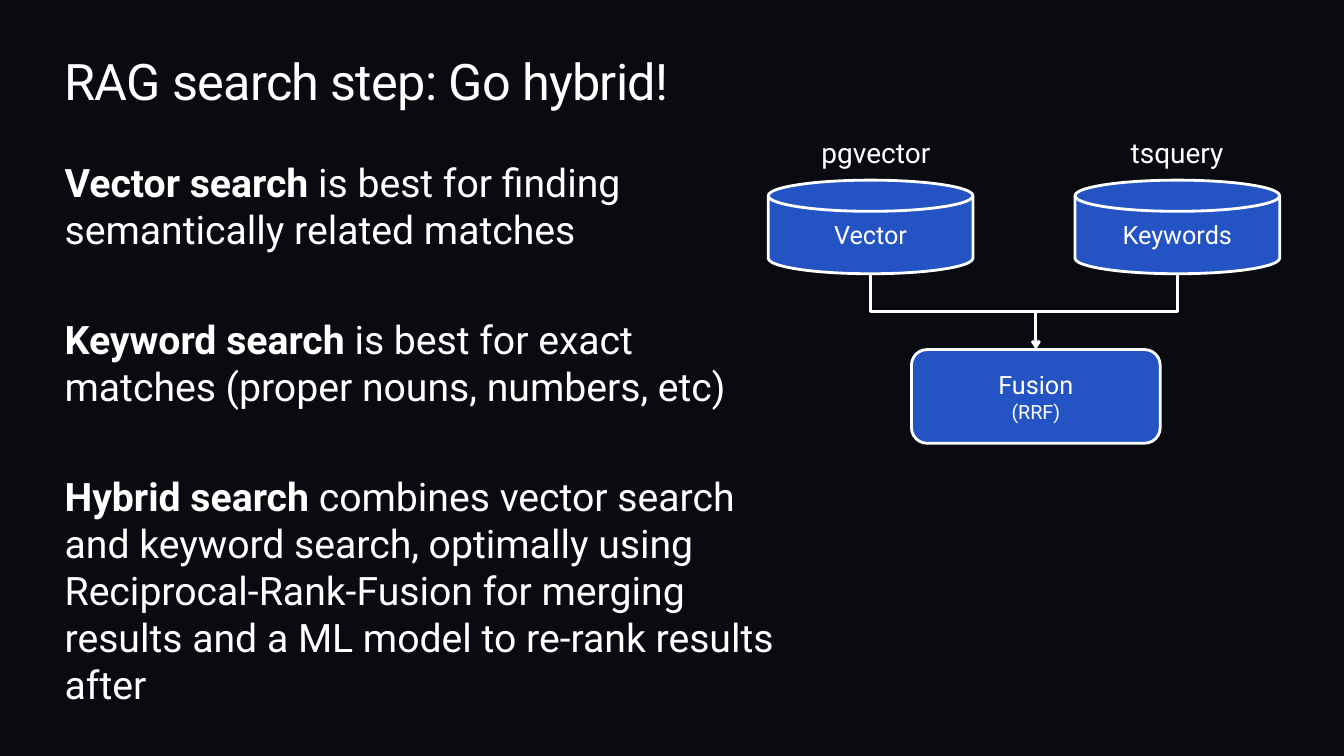
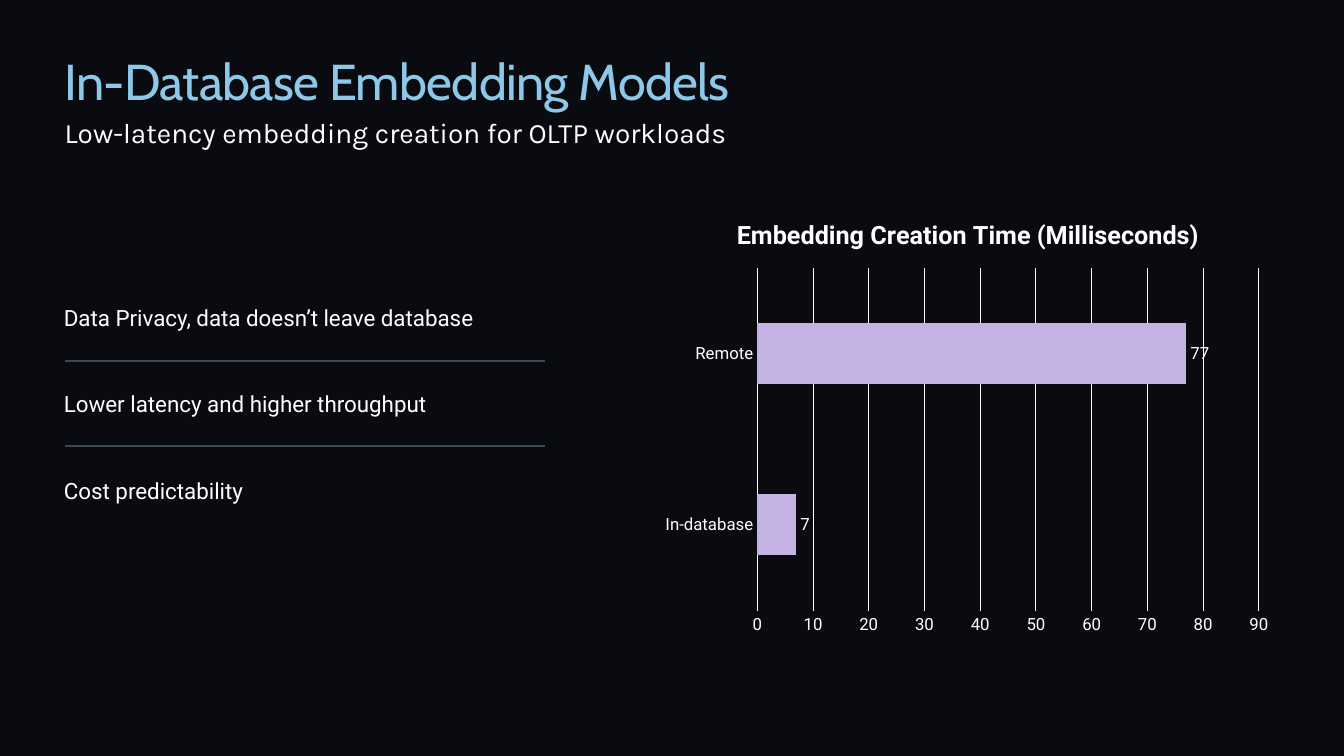
import pptx
import pptx.util
import pptx.chart.data
import pptx.dml.color
import pptx.enum.chart
import pptx.enum.shapes
import pptx.enum.text
import pptx.oxml
import pptx.oxml.ns
from dataclasses import dataclass

Cm, Pt = pptx.util.Cm, pptx.util.Pt
Shape = pptx.enum.shapes.MSO_SHAPE
Link = pptx.enum.shapes.MSO_CONNECTOR
Align = pptx.enum.text.PP_ALIGN
Anchor = pptx.enum.text.MSO_ANCHOR
qn = pptx.oxml.ns.qn


def rgb(code):
    return pptx.dml.color.RGBColor.from_string(code)


def node(tag, **attrs):
    item = pptx.oxml.parse_xml(f"<{tag} {pptx.oxml.ns.nsdecls(tag.split(':')[0])}/>")
    for key, val in attrs.items():
        item.set(key, val)
    return item


@dataclass(frozen=True)
class Theme:
    back: str = "0A0B10"
    ink: str = "FFFFFF"
    fill: str = "2454C3"
    sky: str = "8DC8E8"
    rule: str = "3A4953"
    bar: str = "C5B4E3"
    font: str = "Roboto"
    head: str = "Cabin"
    sub: str = "Karla"
    title: int = 36
    body: int = 28
    label: int = 20
    node: int = 18
    item: int = 16
    note: int = 14
    axis: int = 12
    left: float = 1.63


class Deck:
    def __init__(self, theme):
        self.theme = theme
        self.prs = pptx.Presentation()
        self.prs.slide_width, self.prs.slide_height = Cm(33.87), Cm(19.05)
        self.slide = None

    def style(self, font, size, color=None, name=None):
        font.size = Pt(size)
        font.name = name or self.theme.font
        font.color.rgb = rgb(color or self.theme.ink)

    def page(self, title, color=None, name=None):
        """Start a slide with its background and title."""
        self.slide = self.prs.slides.add_slide(self.prs.slide_layouts[6])
        fill = self.slide.background.fill
        fill.solid()
        fill.fore_color.rgb = rgb(self.theme.back)
        box = self.text((self.theme.left, 1.27, 30.6, 1.55), [title],
                        self.theme.title, color, name)
        for run in box.text_frame.paragraphs[0].runs:
            run.font._element.set("spc", "-50")

    def text(self, area, paras, size, color=None, name=None, align=Align.LEFT,
             gap=0, pitch=None):
        """Each paragraph is a string or a (bold lead, rest) pair."""
        box = self.slide.shapes.add_textbox(*map(Cm, area))
        frame = box.text_frame
        frame.word_wrap = True
        frame.margin_left = frame.margin_right = 0
        frame.margin_top = frame.margin_bottom = 0
        for i, parts in enumerate(paras):
            para = frame.add_paragraph() if i else frame.paragraphs[0]
            para.alignment = align
            if i and gap:
                para.space_before = Pt(gap)
            if pitch:
                para.line_spacing = pitch
            self.style(para.font, size, color, name)
            if isinstance(parts, str):
                para.add_run().text = parts
            else:
                lead, rest = parts
                run = para.add_run()
                run.text, run.font.bold = lead, True
                para.add_run().text = rest
        return box

    def block(self, kind, area, lines):
        """Filled shape; lines are (text, size) pairs."""
        shape = self.slide.shapes.add_shape(kind, *map(Cm, area))
        shape.shadow.inherit = False
        shape.fill.solid()
        shape.fill.fore_color.rgb = rgb(self.theme.fill)
        shape.line.color.rgb = rgb(self.theme.ink)
        shape.line.width = Pt(2)
        frame = shape.text_frame
        frame.word_wrap = True
        frame.vertical_anchor = Anchor.MIDDLE
        for i, (words, size) in enumerate(lines):
            para = frame.add_paragraph() if i else frame.paragraphs[0]
            para.text = words
            para.alignment = Align.CENTER
            self.style(para.font, size)

    def line(self, start, end, color=None, width=2, kind=Link.STRAIGHT):
        link = self.slide.shapes.add_connector(kind, *map(Cm, start + end))
        link.line.color.rgb = rgb(color or self.theme.ink)
        link.line.width = Pt(width)
        link._element.spPr.append(node("a:effectLst"))
        return link

    def elbow(self, start, end, preset, arrow=False):
        """Bent connector that leaves its start downwards."""
        (x1, y1), (x2, y2) = start, end
        midx, midy = (x1 + x2) / 2, (y1 + y2) / 2
        halfw, halfh = (y2 - y1) / 2, abs(x2 - x1) / 2
        link = self.line((midx - halfw, midy - halfh),
                         (midx + halfw, midy + halfh), kind=Link.ELBOW)
        props = link._element.spPr
        props.find(qn("a:prstGeom")).set("prst", preset)
        frame = props.find(qn("a:xfrm"))
        right = x2 > x1
        frame.set("rot", str((270 if right else 90) * 60000))
        if right:
            frame.set("flipH", "1")
        if arrow:
            props.find(qn("a:ln")).append(node("a:tailEnd", type="arrow"))

    def place(self, parent, index, **sizes):
        """Give a chart part a fixed place, in fractions of the chart."""
        old = parent.find(qn("c:layout"))
        if old is not None:
            parent.remove(old)
        layout, manual = node("c:layout"), node("c:manualLayout")
        if "w" in sizes:
            manual.append(node("c:layoutTarget", val="inner"))
        for key in "xy":
            manual.append(node(f"c:{key}Mode", val="edge"))
        for key, val in sizes.items():
            manual.append(node(f"c:{key}", val=str(val)))
        layout.append(manual)
        parent.insert(index, layout)

    def bars(self, area, title, cats, vals):
        theme, enum = self.theme, pptx.enum.chart
        data = pptx.chart.data.CategoryChartData()
        data.categories = cats
        data.add_series("Series 1", vals)
        chart = self.slide.shapes.add_chart(
            enum.XL_CHART_TYPE.BAR_CLUSTERED, *map(Cm, area), data).chart
        chart.has_legend = False
        self.style(chart.font, theme.axis)

        # Title
        head = chart.chart_title
        para = head.text_frame.paragraphs[0]
        para.text = title
        self.style(para.font, theme.node)
        para.font.bold = True
        self.place(head._element, 1, x=0.13, y=0.03)

        # Bars and labels
        plot = chart.plots[0]
        plot.gap_width = 182
        plot.vary_by_categories = False
        fill = plot.series[0].format.fill
        fill.solid()
        fill.fore_color.rgb = rgb(theme.bar)
        plot.has_data_labels = True
        labels = plot.data_labels
        labels.show_value = True
        labels.position = enum.XL_LABEL_POSITION.OUTSIDE_END
        self.style(labels.font, theme.axis)

        # Axes
        for axis in (chart.category_axis, chart.value_axis):
            axis.major_tick_mark = enum.XL_TICK_MARK.NONE
            axis.minor_tick_mark = enum.XL_TICK_MARK.NONE
            self.style(axis.tick_labels.font, theme.axis)
        scale = chart.value_axis
        scale.minimum_scale, scale.maximum_scale, scale.major_unit = 0, 90, 10
        scale.format.line.fill.background()
        scale.has_major_gridlines = True
        for part in (chart.category_axis, scale.major_gridlines):
            part.format.line.color.rgb = rgb(theme.ink)
            part.format.line.width = Pt(0.75)
        area_xml = chart._chartSpace.find(f".//{qn('c:plotArea')}")
        self.place(area_xml, 0, x=0.17, y=0.15, w=0.8, h=0.77)


def hybrid(deck):
    theme = deck.theme
    deck.page("RAG search step: Go hybrid!")
    deck.text((theme.left, 3.99, 18.21, 11.96), [
        ("Vector search ", "is best for finding semantically related matches"),
        ("Keyword search ", "is best for exact matches (proper nouns, numbers, etc)"),
        ("Hybrid search ", "combines vector search and keyword search, optimally "
         "using Reciprocal-Rank-Fusion for merging results and a ML model to "
         "re-rank results after"),
    ], theme.body, gap=44.8)

    # Two stores feed one fusion step
    top, wide, high = 4.54, 5.16, 2.36
    mids = []
    for left, name, tag_left, tag in ((19.36, "Vector", 19.37, "pgvector"),
                                      (27.09, "Keywords", 26.96, "tsquery")):
        deck.block(Shape.FLOWCHART_MAGNETIC_DISK, (left, top, wide, high),
                   [(name, theme.node)])
        deck.text((tag_left, 3.42, 5.41, 0.86), [tag], theme.label,
                  align=Align.CENTER)
        mids.append(left + wide / 2)
    foot = top + high
    left, top, wide = 22.97, 8.81, 6.27
    deck.block(Shape.ROUNDED_RECTANGLE, (left, top, wide, high),
               [("Fusion", theme.node), ("(RRF)", theme.note)])
    mid, bus = left + wide / 2, (foot + top) / 2
    deck.elbow((mids[0], foot), (mid, bus), "bentConnector2")
    deck.elbow((mids[1], foot), (mid, top), "bentConnector3", arrow=True)


def models(deck):
    theme = deck.theme
    deck.page("In-Database Embedding Models", theme.sky, theme.head)
    deck.text((theme.left, 2.92, 18.92, 0.86),
              ["Low-latency embedding creation for OLTP workloads"],
              theme.label, name=theme.sub)

    # Benefits with rules between them
    deck.text((1.61, 7.74, 12.14, 5.79), [
        "Data Privacy, data doesn’t leave database",
        "Lower latency and higher throughput",
        "Cost predictability",
    ], theme.item, gap=44.5, pitch=0.9)
    for y in (9.09, 11.23):
        deck.line((theme.left, y), (13.74, y), theme.rule, 1.25)

    deck.bars((16.4, 5.06, 15.8, 11.23), "Embedding Creation Time (Milliseconds)",
              ["In-database", "Remote"], [7, 77])


def main():
    deck = Deck(Theme())
    hybrid(deck)
    models(deck)
    deck.prs.save("out.pptx")


if __name__ == "__main__":
    main()
